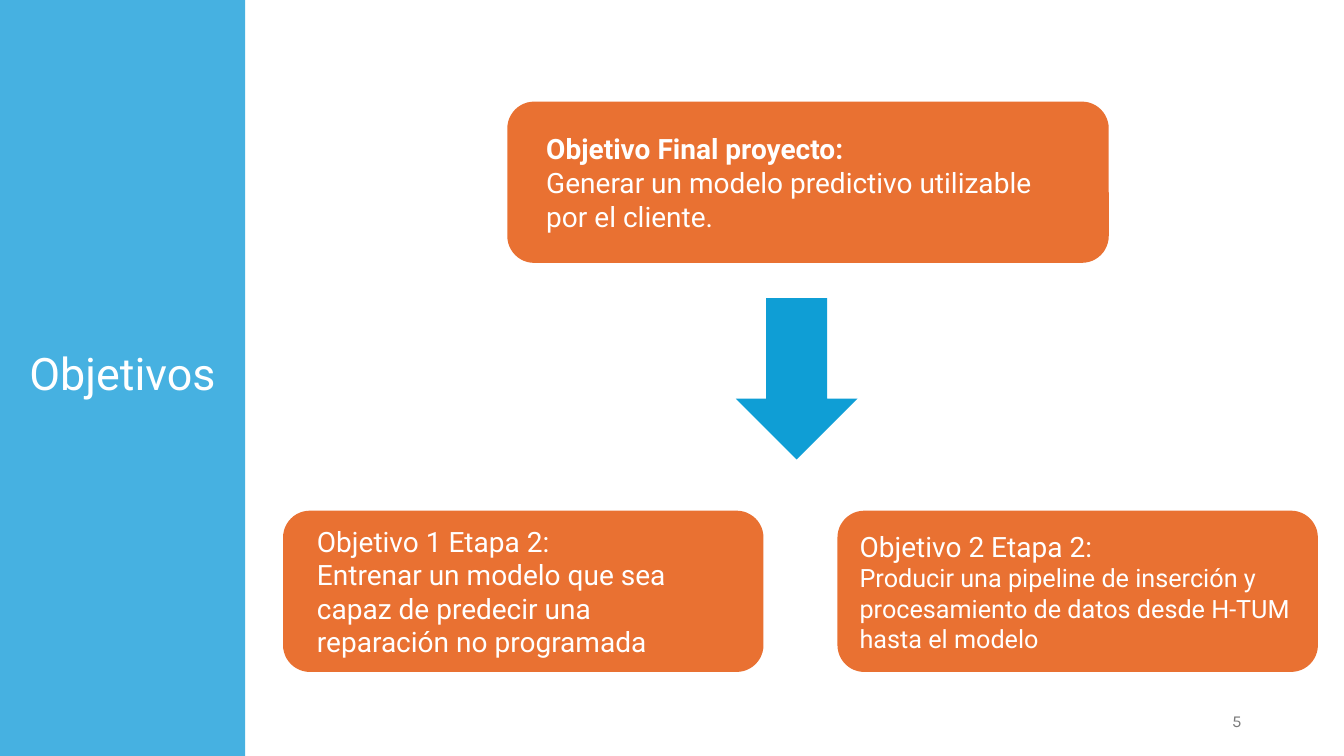
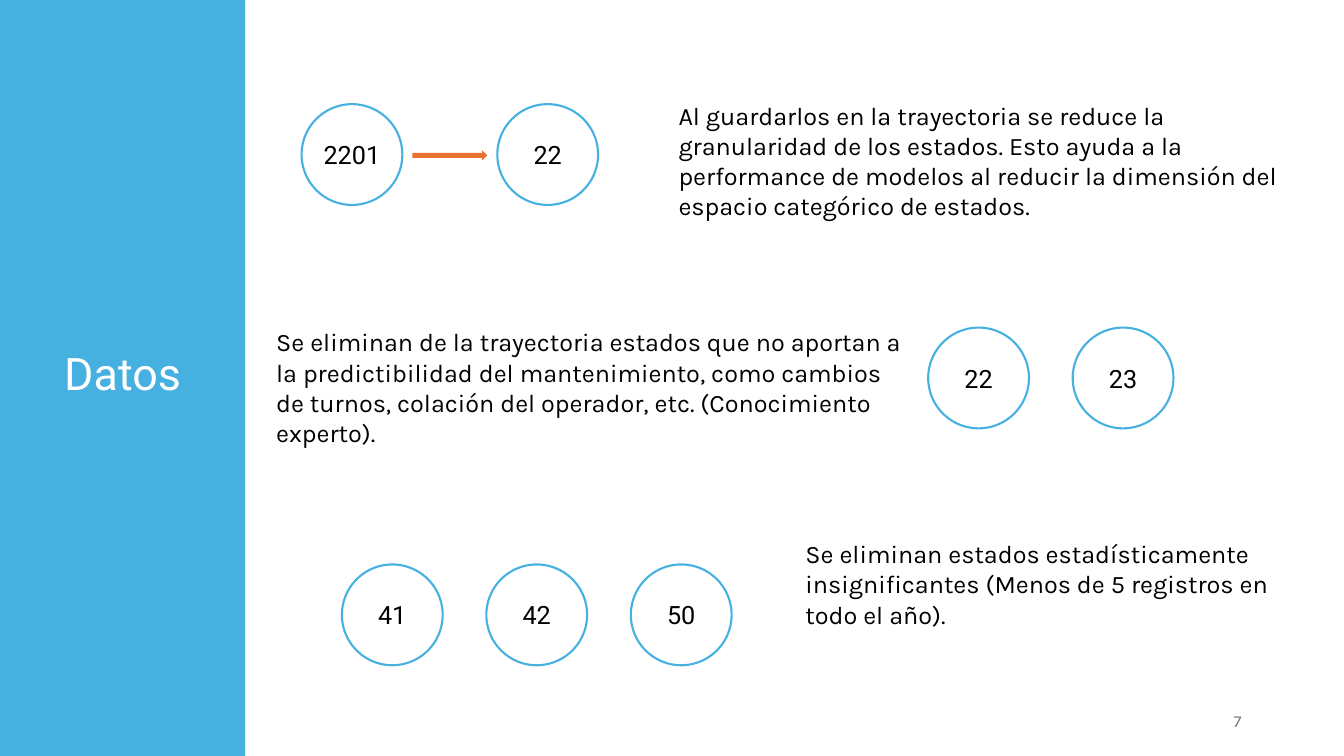
from pptx import Presentation
from pptx.dml.color import RGBColor
from pptx.enum.shapes import MSO_SHAPE as Shape
from pptx.enum.text import MSO_ANCHOR as Anchor, MSO_AUTO_SIZE as AutoSize, PP_ALIGN as Align
from pptx.util import Inches, Pt

COLORS = {
    "band": "46B1E1",
    "arrow": "0F9ED5",
    "accent": "E97132",
    "white": "FFFFFF",
    "text": "000000",
    "number": "797979",
}
HEAD_FONT, BODY_FONT = "Roboto", "Karla"
COLS, ROWS = 16, 9
BAND_COLS = 2.92
CIRCLE = 1.2
BOX_ROWS = 1.92
TITLE_ONLY = 5


class Deck:
    """Shared style and the current slide; lengths are columns and rows of the grid."""

    def __init__(self):
        self.prs = Presentation()
        self.prs.slide_width, self.prs.slide_height = Inches(13.33), Inches(7.5)
        self.s = None

    def area(self, col, row, cols, rows):
        """Turn grid columns and rows into left, top, width and height."""
        x, y = self.prs.slide_width / COLS, self.prs.slide_height / ROWS
        return [round(v) for v in (col * x, row * y, cols * x, rows * y)]

    def color(self, name):
        return RGBColor.from_string(COLORS[name])

    def fill_text(self, tf, lines, sizes, font, color, align=Align.LEFT, anchor=Anchor.TOP):
        """Fill a text frame, one paragraph and one size per line."""
        tf.text = "\n".join(lines)
        tf.word_wrap = True
        tf.auto_size = AutoSize.NONE
        tf.vertical_anchor = anchor
        for p, size in zip(tf.paragraphs, sizes):
            p.alignment = align
            for r in p.runs:
                r.font.name, r.font.size = font, Pt(size)
                r.font.color.rgb = self.color(color)

    def shape(self, kind, area, fill=None, line=None):
        sp = self.s.shapes.add_shape(kind, *self.area(*area))
        sp.shadow.inherit = False
        if fill:
            sp.fill.solid()
            sp.fill.fore_color.rgb = self.color(fill)
        else:
            sp.fill.background()
        if line:
            sp.line.color.rgb = self.color(line)
            sp.line.width = Pt(1.5)
        else:
            sp.line.fill.background()
        return sp

    def text(self, area, line, size=18, color="text", align=Align.LEFT, anchor=Anchor.TOP):
        sp = self.s.shapes.add_textbox(*self.area(*area))
        self.fill_text(sp.text_frame, [line], [size], BODY_FONT, color, align, anchor)

    def slide(self, title, number):
        """Start a slide with its side band, title and page number."""
        self.s = self.prs.slides.add_slide(self.prs.slide_layouts[TITLE_ONLY])
        sp = self.s.shapes.title
        band = self.shape(Shape.RECTANGLE, (0, 0, BAND_COLS, ROWS), "band")
        sp._element.addprevious(band._element)
        sp.left, sp.top, sp.width, sp.height = self.area(0, 3.64, BAND_COLS, 1.66)
        self.fill_text(sp.text_frame, [title], [32], HEAD_FONT, "white",
                       Align.CENTER, Anchor.MIDDLE)
        sp.text_frame.paragraphs[0].line_spacing = 0.9
        self.text((11.3, 8.34, 3.6, 0.48), number, 12, "number", Align.RIGHT, Anchor.MIDDLE)

    def box(self, col, row, cols, pad, lines, sizes=(20, 20), bold_head=False):
        """Rounded goal box; pad is the side margin in columns."""
        sp = self.shape(Shape.ROUNDED_RECTANGLE, (col, row, cols, BOX_ROWS), "accent")
        tf = sp.text_frame
        self.fill_text(tf, lines, sizes, HEAD_FONT, "white", anchor=Anchor.MIDDLE)
        tf.margin_left = tf.margin_right = self.area(pad, 0, 0, 0)[0]
        tf.margin_top = tf.margin_bottom = 0
        tf.paragraphs[0].runs[0].font.bold = bold_head

    def circles(self, col, row, step, labels):
        """Row of state circles, one every step columns."""
        for i, label in enumerate(labels):
            area = (col + i * step, row, CIRCLE, CIRCLE)
            sp = self.shape(Shape.FLOWCHART_CONNECTOR, area, line="band")
            tf = sp.text_frame
            self.fill_text(tf, [label], [18], HEAD_FONT, "text", Align.CENTER, Anchor.MIDDLE)
            tf.margin_left = tf.margin_right = tf.margin_top = tf.margin_bottom = 0


def goals(deck):
    deck.slide("Objetivos", "5")
    deck.box(6.04, 1.21, 7.16, 0.37,
             ["Objetivo Final proyecto:",
              "Generar un modelo predictivo utilizable por el cliente."],
             bold_head=True)
    deck.shape(Shape.DOWN_ARROW, (8.76, 3.55, 1.45, BOX_ROWS), "arrow")
    deck.box(3.37, 6.08, 5.72, 0.31,
             ["Objetivo 1 Etapa 2:",
              "Entrenar un modelo que sea capaz de predecir una reparación no programada"])
    deck.box(9.97, 6.08, 5.72, 0.17,
             ["Objetivo 2 Etapa 2:",
              "Producir una pipeline de inserción y procesamiento de datos "
              "desde H-TUM hasta el modelo"],
             sizes=(20, 18))


def data(deck):
    deck.slide("Datos", "7")
    deck.circles(3.59, 1.24, 2.33, ["2201", "22"])
    deck.shape(Shape.RIGHT_ARROW, (4.91, 1.79, 0.89, 0.12), "accent")
    deck.text((7.96, 1.13, 7.8, 1.21),
              "Al guardarlos en la trayectoria se reduce la granularidad de los estados. "
              "Esto ayuda a la performance de modelos al reducir la dimensión del "
              "espacio categórico de estados.")
    deck.text((3.17, 3.83, 7.8, 1.57),
              "Se eliminan de la trayectoria estados que no aportan a la predictibilidad "
              "del mantenimiento, como cambios de turnos, colación del operador, etc. "
              "(Conocimiento experto).")
    deck.circles(11.05, 3.9, 1.72, ["22", "23"])
    deck.circles(4.07, 6.72, 1.72, ["41", "42", "50"])
    deck.text((9.47, 6.35, 6.28, 1.21),
              "Se eliminan estados estadísticamente insignificantes "
              "(Menos de 5 registros en todo el año).")


def main():
    deck = Deck()
    goals(deck)
    data(deck)
    deck.prs.save("out.pptx")


if __name__ == "__main__":
    main()
